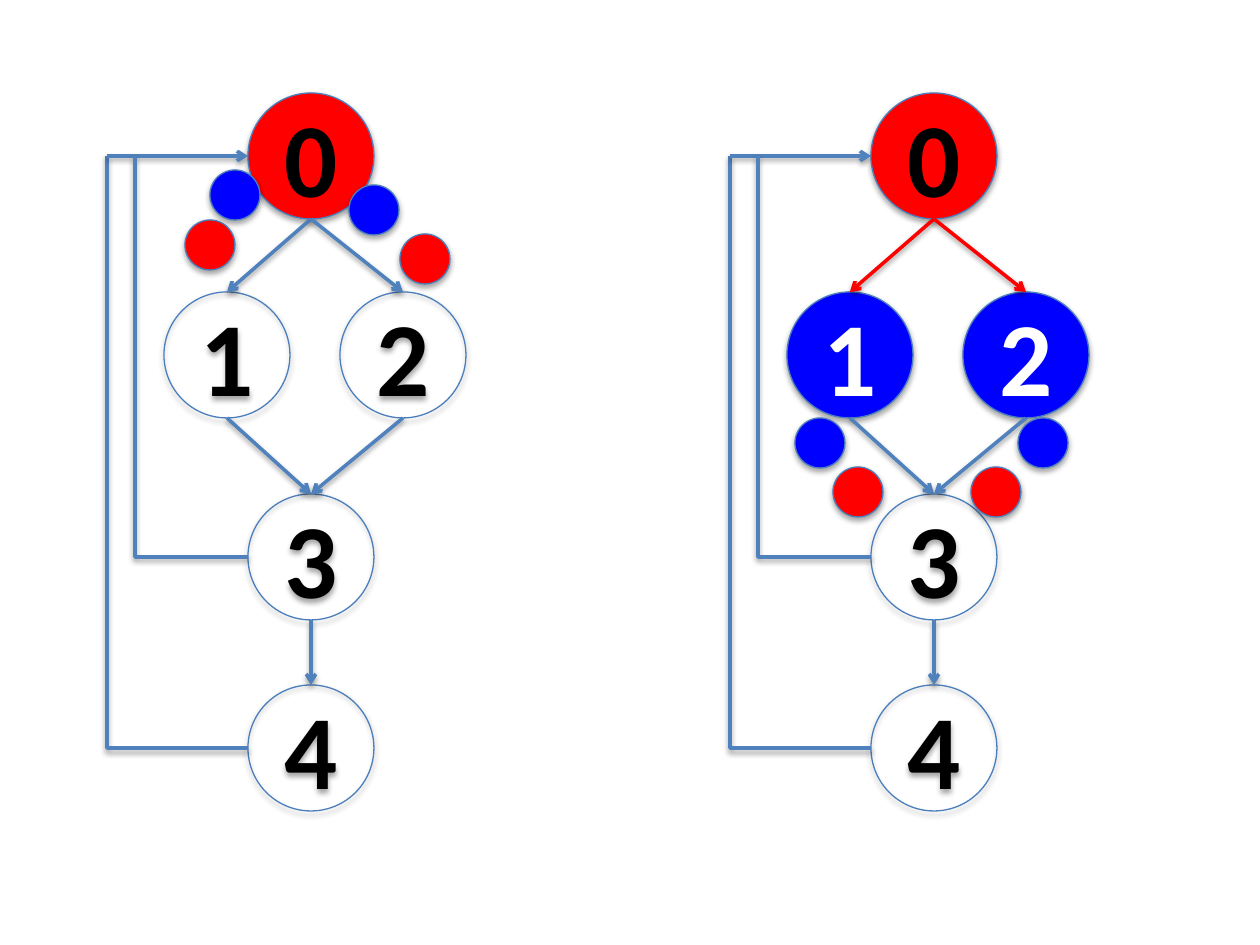
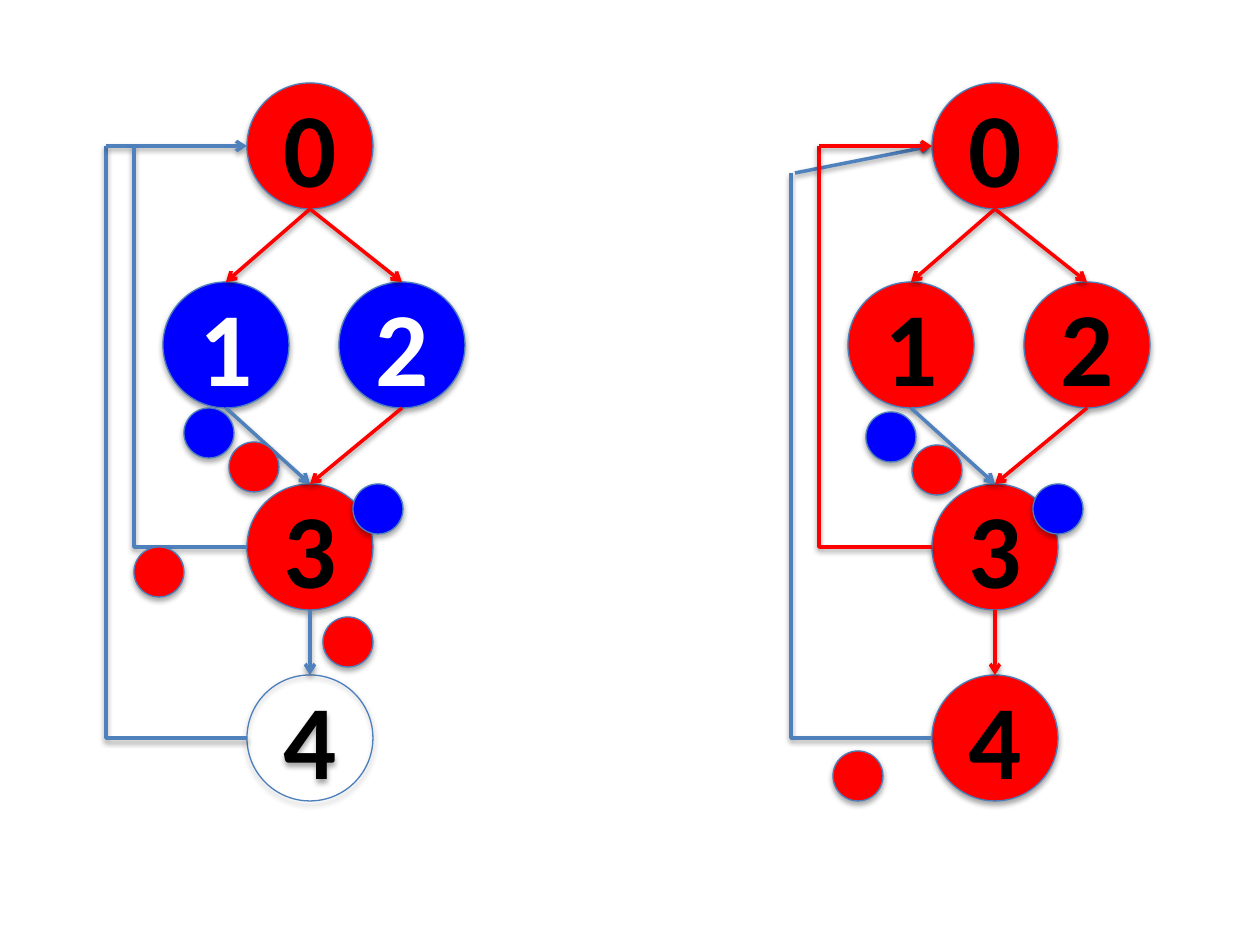
"""Two slides, each with two states of a five-node flow graph and its tokens."""
from dataclasses import dataclass, field

from lxml import etree
from pptx import Presentation
from pptx.dml.color import RGBColor
from pptx.enum import shapes, text
from pptx.oxml import ns
from pptx.util import Pt

EMU_PER_PIXEL = 914400 / 126
PAGE_WIDTH, PAGE_HEIGHT = 1260, 945

RED = RGBColor(0xFF, 0x00, 0x00)
BLUE = RGBColor(0x00, 0x00, 0xFF)
EDGE_BLUE = RGBColor(0x4F, 0x81, 0xBD)
OUTLINE = RGBColor(0x4B, 0x7E, 0xBC)
BLACK = RGBColor(0x00, 0x00, 0x00)
WHITE = RGBColor(0xFF, 0xFF, 0xFF)

NODE_SIZE, TOKEN_SIZE = 126, 50
RADIUS = NODE_SIZE // 2
LABEL_FORMAT = {"name": "Calibri", "size": Pt(60), "bold": True}

# Top left corner of each node, measured from the corner of node 0.
NODES = {0: (0, 0), 1: (-84, 199), 2: (92, 199), 3: (0, 401), 4: (0, 592)}
EDGES = [(0, 1), (1, 3), (3, 4), (0, 2), (2, 3)]
INNER_LOOP, OUTER_LOOP = -113, -141

Point = tuple[int, int]


@dataclass
class Graph:
    """One state of the graph, with coloured nodes, active edges and tokens."""
    origin: Point
    fills: dict[int, RGBColor]
    red_tokens: list[Point]
    blue_tokens: list[Point]
    red_edges: set[Point] = field(default_factory=set)
    red_inner_loop: bool = False
    entry: Point = (OUTER_LOOP, RADIUS)  # start of the arrow into node 0


SLIDES = [
    [
        Graph((248, 93), {0: RED},
              red_tokens=[(400, 234), (185, 220)],
              blue_tokens=[(210, 170), (349, 185)]),
        Graph((871, 93), {0: RED, 1: BLUE, 2: BLUE},
              red_tokens=[(971, 467), (833, 467)],
              blue_tokens=[(795, 418), (1018, 418)],
              red_edges={(0, 1), (0, 2)}),
    ],
    [
        Graph((247, 83), {0: RED, 1: BLUE, 2: BLUE, 3: RED},
              red_tokens=[(134, 547), (229, 442), (323, 617)],
              blue_tokens=[(353, 484), (184, 408)],
              red_edges={(0, 1), (0, 2), (2, 3)}),
        Graph((932, 83), dict.fromkeys(NODES, RED),
              red_tokens=[(912, 445), (833, 751)],
              blue_tokens=[(1033, 484), (866, 412)],
              red_edges={(0, 1), (0, 2), (2, 3), (3, 4)},
              red_inner_loop=True, entry=(-137, 90)),
    ],
]


def emu(pixels: float) -> int:
    """Turn pixels into EMU."""
    return round(pixels * EMU_PER_PIXEL)


def shift(point: Point, offset: Point) -> Point:
    """Move a point by an offset."""
    return point[0] + offset[0], point[1] + offset[1]


def add_child(parent, tag: str, **attributes):
    """Append a DrawingML element with the given attributes."""
    return etree.SubElement(parent, ns.qn(tag), attributes)


def add_shadow(effects, distance: int, opacity: int) -> None:
    """Put a soft shadow that falls straight down into an effect list."""
    shadow = add_child(effects, "a:outerShdw", blurRad="40000", dist=str(distance),
                       dir="5400000", rotWithShape="0")
    color = add_child(shadow, "a:srgbClr", val=str(BLACK))
    add_child(color, "a:alpha", val=str(opacity * 1000))


def add_circle(page, corner: Point, size: int, fill: RGBColor | None):
    """Draw an outlined circle; without a fill it stays clear."""
    circle = page.shapes.add_shape(
        shapes.MSO_SHAPE.OVAL, *map(emu, (*corner, size, size)))
    if fill is None:
        circle.fill.background()
    else:
        circle.fill.solid()
        circle.fill.fore_color.rgb = fill
    circle.line.color.rgb = OUTLINE
    circle.line.width = Pt(0.75)
    circle.shadow.inherit = False
    add_shadow(circle.element.spPr.find(ns.qn("a:effectLst")), 23000, 35)
    return circle


def add_node(page, number: int, corner: Point, fill: RGBColor | None) -> None:
    """Draw a numbered node."""
    frame = add_circle(page, corner, NODE_SIZE, fill).text_frame
    frame.vertical_anchor = text.MSO_ANCHOR.MIDDLE
    para = frame.paragraphs[0]
    para.alignment = text.PP_ALIGN.CENTER
    span = para.add_run()
    span.text = str(number)
    for name, value in LABEL_FORMAT.items():
        setattr(span.font, name, value)
    span.font.color.rgb = WHITE if fill == BLUE else BLACK


def add_line(page, start: Point, end: Point, color: RGBColor,
             arrow: bool = True, kind=shapes.MSO_CONNECTOR.STRAIGHT):
    """Draw a connector, with an arrowhead at its end if wanted."""
    line = page.shapes.add_connector(kind, *map(emu, (*start, *end)))
    line.line.color.rgb = color
    line.line.width = Pt(2)
    properties = line.element.spPr
    if arrow:
        add_child(properties.find(ns.qn("a:ln")), "a:tailEnd", type="arrow")
    add_shadow(add_child(properties, "a:effectLst"), 20000, 38)
    return line


def add_loop(page, top: Point, bottom: Point, color: RGBColor) -> None:
    """Draw an elbow that runs left from the bottom point, then up to the top."""
    loop = add_line(page, top, bottom, color, False, shapes.MSO_CONNECTOR.ELBOW)
    properties = loop.element.spPr
    properties.find(ns.qn("a:prstGeom")).set("prst", "bentConnector2")
    properties.find(ns.qn("a:xfrm")).set("rot", "10800000")


def add_graph(page, graph: Graph) -> None:
    """Draw the nodes, edges, return loops and tokens of one graph."""
    corners = {number: shift(graph.origin, offset) for number, offset in NODES.items()}
    for number, corner in corners.items():
        add_node(page, number, corner, graph.fills.get(number))
    for source, target in EDGES:
        add_line(page, shift(corners[source], (RADIUS, NODE_SIZE)),
                 shift(corners[target], (RADIUS, 0)),
                 RED if (source, target) in graph.red_edges else EDGE_BLUE)

    left = {number: shift(corner, (0, RADIUS)) for number, corner in corners.items()}
    inner_top = shift(graph.origin, (INNER_LOOP, RADIUS))
    outer_top = shift(graph.origin, (OUTER_LOOP, graph.entry[1]))
    add_loop(page, outer_top, left[4], EDGE_BLUE)
    add_line(page, shift(graph.origin, graph.entry), left[0], EDGE_BLUE)
    add_loop(page, inner_top, left[3], RED if graph.red_inner_loop else EDGE_BLUE)
    if graph.red_inner_loop:
        add_line(page, inner_top, left[0], RED)

    for color, tokens in ((RED, graph.red_tokens), (BLUE, graph.blue_tokens)):
        for corner in tokens:
            add_circle(page, corner, TOKEN_SIZE, color)


def main() -> None:
    """Build and save the deck."""
    deck = Presentation()
    deck.slide_width, deck.slide_height = emu(PAGE_WIDTH), emu(PAGE_HEIGHT)
    for graphs in SLIDES:
        page = deck.slides.add_slide(deck.slide_layouts[6])
        for graph in graphs:
            add_graph(page, graph)
    deck.save("out.pptx")


main()
